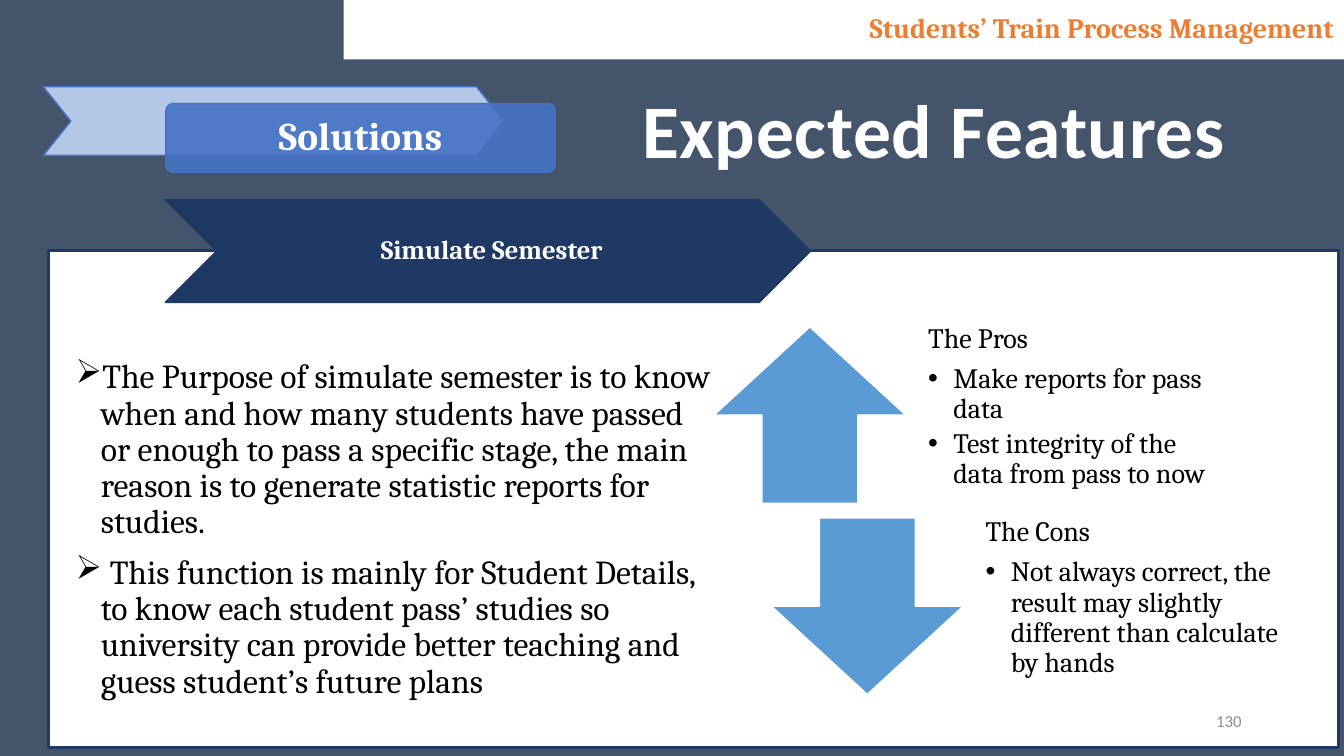
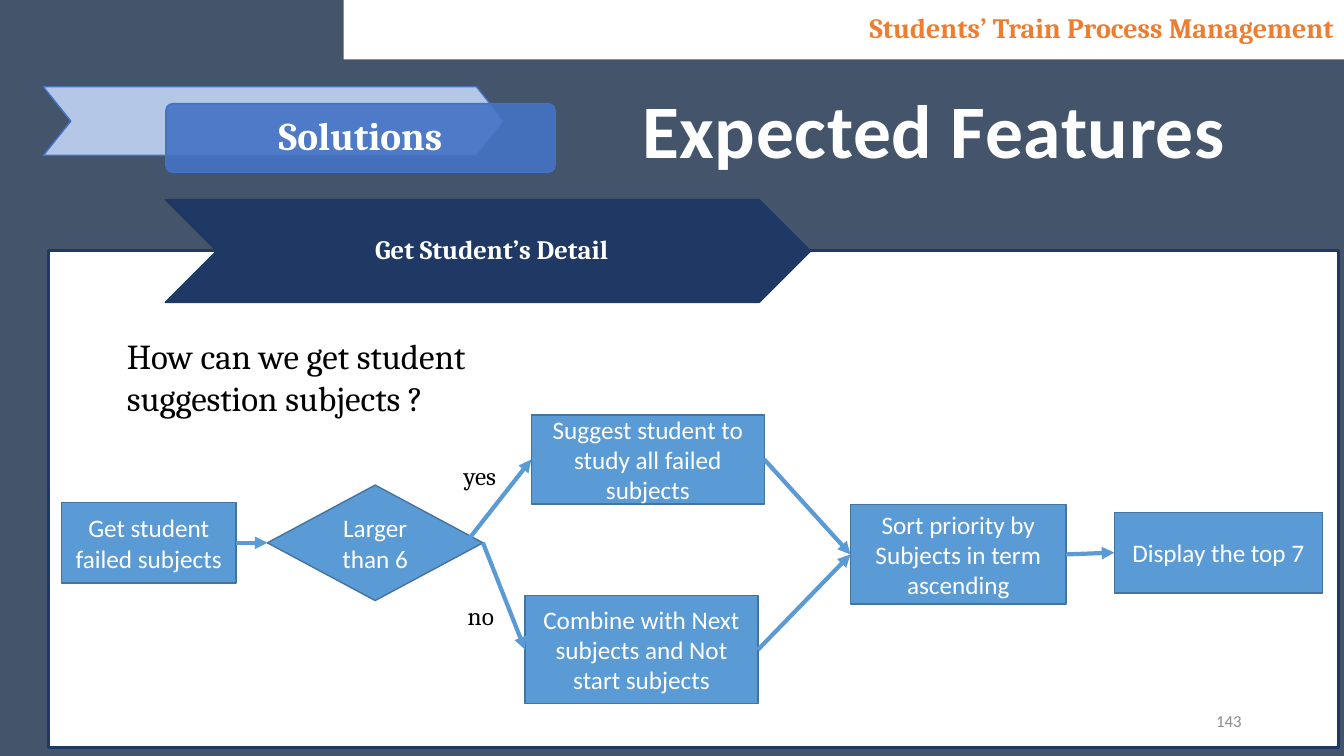
from dataclasses import dataclass
from lxml.etree import SubElement
from pptx import Presentation
from pptx.dml.color import RGBColor
from pptx.enum.shapes import MSO_CONNECTOR, MSO_SHAPE
from pptx.enum.text import MSO_ANCHOR, PP_ALIGN
from pptx.oxml import parse_xml
from pptx.oxml.ns import nsdecls, qn
from pptx.util import Pt


@dataclass(frozen=True)
class Theme:
    background: str = "44546A"
    white: str = "FFFFFF"
    black: str = "000000"
    orange: str = "ED7D31"
    pale_blue: str = "B4C7E7"
    blue: str = "4472C4"
    navy: str = "203864"
    sky: str = "5B9BD5"
    sky_edge: str = "43739E"
    headline: str = "FEFEFE"
    gray: str = "8C8C8C"
    serif: str = "Cambria"
    sans: str = "Calibri"
    headline_size: int = 54
    badge_size: int = 28
    question_size: int = 25
    body_size: int = 24
    list_size: int = 20
    section_size: int = 19
    flow_size: int = 18
    number_size: int = 12


theme = Theme()


def add_box(slide, kind, bounds, fill=None, line=None, width=1, adjustment=None):
    lengths = [Pt(value) for value in bounds]
    if kind is None:
        return slide.shapes.add_textbox(*lengths)
    shape = slide.shapes.add_shape(kind, *lengths)
    shape.shadow.inherit = False
    shape.fill.solid()
    shape.fill.fore_color.rgb = RGBColor.from_string(fill)
    if line:
        shape.line.color.rgb = RGBColor.from_string(line)
        shape.line.width = Pt(width)
    else:
        shape.line.fill.background()
    if adjustment is not None:
        shape.adjustments[0] = adjustment
    return shape


def write(shape, lines, size, color, font=theme.serif, bold=False, align=PP_ALIGN.LEFT,
          anchor=MSO_ANCHOR.MIDDLE, insets=(7.2, 3.6, 7.2, 3.6), spacing=1.0, wrap=True):
    frame = shape.text_frame
    frame.word_wrap = wrap
    frame.vertical_anchor = anchor
    frame.margin_left, frame.margin_top, frame.margin_right, frame.margin_bottom = map(Pt, insets)
    for index, (text, bullet, before, after) in enumerate(lines):
        paragraph = frame.add_paragraph() if index else frame.paragraphs[0]
        paragraph.alignment = align
        paragraph.line_spacing = spacing
        paragraph.space_before = Pt(before)
        paragraph.space_after = Pt(after)
        if bullet:
            properties = paragraph._p.get_or_add_pPr()
            properties.set("marL", str(Pt(18)))
            properties.set("indent", str(Pt(-18)))
            if bullet == "•":
                SubElement(properties, qn("a:buFont"), typeface="Arial")
            SubElement(properties, qn("a:buChar"), char=bullet)
        run = paragraph.add_run()
        run.text = text
        run.font.size = Pt(size)
        run.font.name = font
        run.font.bold = bold
        run.font.color.rgb = RGBColor.from_string(color)


presentation = Presentation()
presentation.slide_width = Pt(960)
presentation.slide_height = Pt(540)

slides = []
for section, number in (("Simulate Semester", "130"), ("Get Student’s Detail", "143")):
    slide = presentation.slides.add_slide(presentation.slide_layouts[6])
    slides.append(slide)
    slide.background.fill.solid()
    slide.background.fill.fore_color.rgb = RGBColor.from_string(theme.background)

    title = add_box(slide, MSO_SHAPE.RECTANGLE, (245.5, 0, 714.5, 42.5), theme.white)
    write(title, [("Students’ Train Process Management", None, 0, 0)], theme.list_size,
          theme.orange, bold=True, align=PP_ALIGN.RIGHT, spacing=0.9)

    add_box(slide, MSO_SHAPE.CHEVRON, (31, 62, 329, 49), theme.pale_blue, theme.blue, adjustment=0.4)
    badge = add_box(slide, MSO_SHAPE.ROUNDED_RECTANGLE, (118.5, 74, 278, 49), theme.blue, theme.blue,
                    adjustment=0.1)
    SubElement(badge.element.spPr.find(qn("a:solidFill"))[0], qn("a:alpha"), val="90000")
    write(badge, [("Solutions", None, 0, 0)], theme.badge_size, theme.white, bold=True,
          align=PP_ALIGN.CENTER, insets=(16, 16, 16, 16), spacing=0.9)

    add_box(slide, MSO_SHAPE.RECTANGLE, (34.5, 179, 921.5, 355), theme.white, theme.navy, 2.25)
    add_box(slide, MSO_SHAPE.CHEVRON, (118, 142.5, 461, 73.5), theme.navy, theme.navy)
    label = add_box(slide, MSO_SHAPE.RECTANGLE, (196.5, 143, 304, 73), theme.navy, theme.navy, 0.75)
    write(label, [(section, None, 0, 0)], theme.section_size, theme.white, bold=True,
          align=PP_ALIGN.CENTER, insets=(8.5, 3, 3, 3), spacing=0.9)

    headline = add_box(slide, None, (449, 56, 436, 73))
    write(headline, [("Expected Features", None, 0, 0)], theme.headline_size, theme.headline,
          theme.sans, True, PP_ALIGN.CENTER, MSO_ANCHOR.TOP, wrap=False)
    run_properties = headline.text_frame.paragraphs[0].runs[0].font._element
    run_properties.set("spc", "50")
    run_properties.find(qn("a:latin")).addprevious(parse_xml(
        f'<a:effectLst {nsdecls("a")}><a:outerShdw dist="38100" dir="2700000" algn="tl">'
        f'<a:srgbClr val="{theme.sky}"/></a:outerShdw></a:effectLst>'))

    page = add_box(slide, None, (678, 500.5, 216, 29))
    write(page, [(number, None, 0, 0)], theme.number_size, theme.gray, theme.sans,
          align=PP_ALIGN.RIGHT)

semester, detail = slides

purpose = add_box(semester, None, (47, 253.5, 474, 225))
write(purpose, [
    ("The Purpose of simulate semester is to know when and how many students have passed or enough "
     "to pass a specific stage, the main reason is to generate statistic reports for studies.",
     "➢", 0, 0),
    (" This function is mainly for Student Details, to know each student pass’ studies so university "
     "can provide better teaching and guess student’s future plans", "➢", 10, 0),
], theme.body_size, theme.black, anchor=MSO_ANCHOR.TOP, spacing=0.9)

opinions = (
    (MSO_SHAPE.UP_ARROW, 510, 233.5, "The Pros",
     ("Make reports for pass data", "Test integrity of the data from pass to now")),
    (MSO_SHAPE.DOWN_ARROW, 551, 370, "The Cons",
     ("Not always correct, the result may slightly different than calculate by hands",)),
)
for arrow, left, top, heading, points in opinions:
    add_box(semester, arrow, (left, top, 137, 126), theme.sky, theme.white)
    opinion = add_box(semester, None, (left + 141.5, top, 234, 126))
    write(opinion, [(heading, None, 0, 7)] + [(point, "•", 0, 3) for point in points],
          theme.list_size, theme.black, insets=(11.5, 0, 11.5, 11.5), spacing=0.9)

notes = (
    ("How can we get student suggestion subjects ?", (83.5, 235.5, 314.5, 68), theme.question_size),
    ("yes", (324, 325.5, 43, 30), theme.flow_size),
    ("no", (327, 425.5, 43, 30), theme.flow_size),
)
for text, bounds, size in notes:
    note = add_box(detail, None, bounds)
    write(note, [(text, None, 0, 0)], size, theme.black, anchor=MSO_ANCHOR.TOP)

steps = {
    "start": ("Get student failed subjects", MSO_SHAPE.RECTANGLE, (44, 359, 124.5, 57.5)),
    "check": ("Larger than 6", MSO_SHAPE.DIAMOND, (191, 346.5, 154, 82.5)),
    "suggest": ("Suggest student to study all failed subjects", MSO_SHAPE.RECTANGLE,
                (379.5, 296.5, 166.5, 63.5)),
    "combine": ("Combine with Next subjects and Not start subjects", MSO_SHAPE.RECTANGLE,
                (375, 425.5, 166.5, 77)),
    "sort": ("Sort priority by Subjects in term ascending", MSO_SHAPE.RECTANGLE,
             (607.5, 360.5, 154, 71)),
    "display": ("Display the top 7", MSO_SHAPE.RECTANGLE, (796, 366, 148.5, 57.5)),
}
boxes = {}
for name, (text, kind, bounds) in steps.items():
    boxes[name] = add_box(detail, kind, bounds, theme.sky, theme.sky_edge)
    write(boxes[name], [(text, None, 0, 0)], theme.flow_size, theme.white, theme.sans,
          align=PP_ALIGN.CENTER)

right_side, left_side = 3, 1
flows = (("start", "check"), ("check", "suggest"), ("check", "combine"),
         ("suggest", "sort"), ("combine", "sort"), ("sort", "display"))
for source, target in flows:
    connector = detail.shapes.add_connector(MSO_CONNECTOR.STRAIGHT, Pt(331), Pt(390), Pt(379), Pt(328))
    if target != "suggest":
        connector.begin_connect(boxes[source], right_side)
    connector.end_connect(boxes[target], left_side)
    connector.line.color.rgb = RGBColor.from_string(theme.sky)
    connector.line.width = Pt(3)
    properties = connector.element.spPr
    SubElement(properties.find(qn("a:ln")), qn("a:tailEnd"), type="triangle")
    SubElement(properties, qn("a:effectLst"))

presentation.save("out.pptx")
